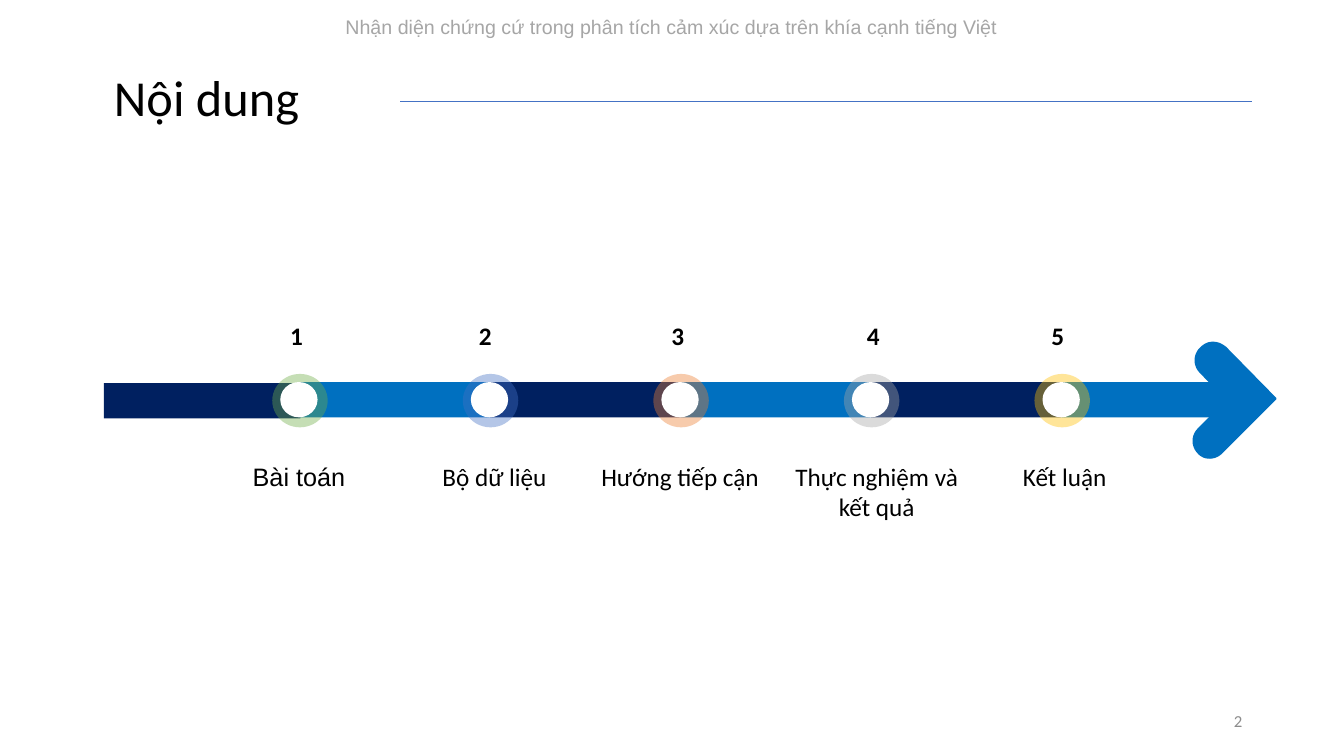
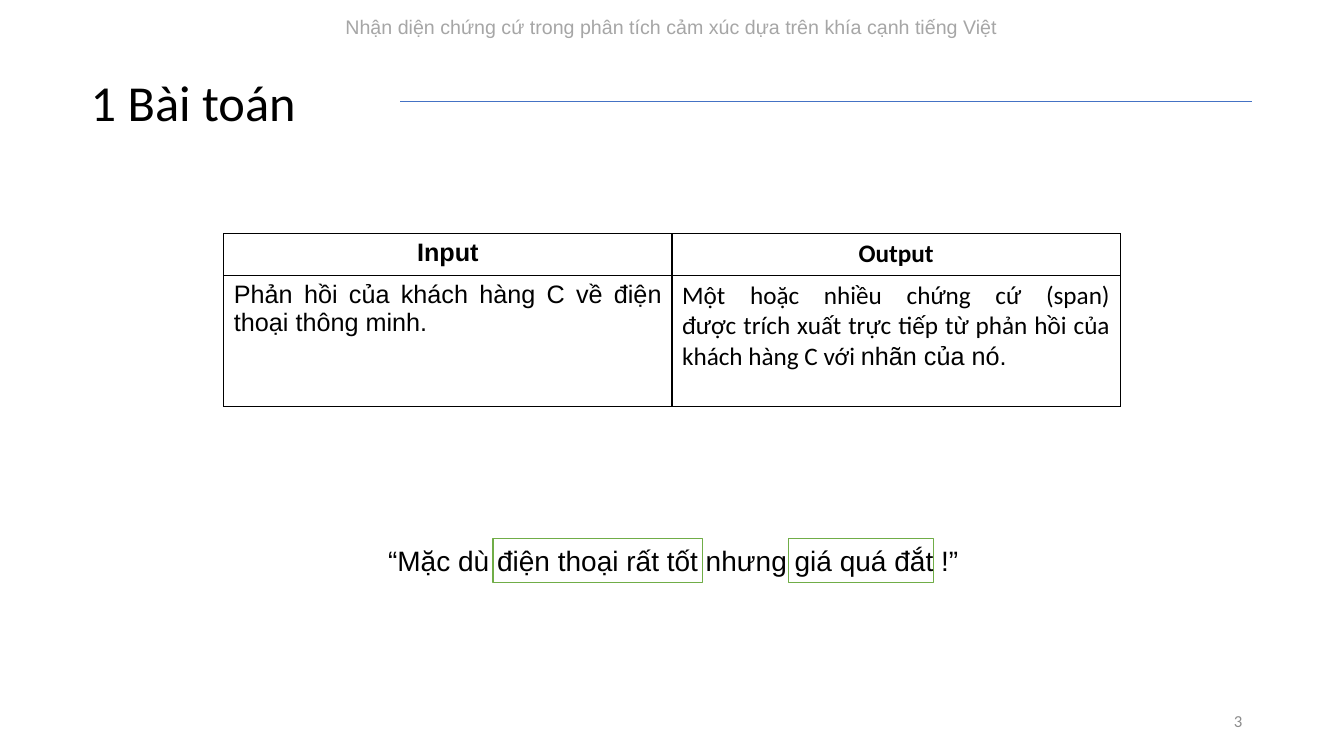
from dataclasses import dataclass

import lxml.etree
import pptx
import pptx.dml.color
import pptx.enum.shapes
import pptx.enum.text
import pptx.oxml
import pptx.oxml.ns
import pptx.util

Inches = pptx.util.Inches
Pt = pptx.util.Pt
RGB = pptx.dml.color.RGBColor.from_string
Align = pptx.enum.text.PP_ALIGN
Anchor = pptx.enum.text.MSO_ANCHOR
Preset = pptx.enum.shapes.MSO_SHAPE
qn = pptx.oxml.ns.qn
Point = tuple[float, float]


# Theme
@dataclass(frozen=True)
class Theme:
    sans: str = "Arial"
    body: str = "Calibri"
    black: str = "000000"
    white: str = "FFFFFF"
    header_grey: str = "A6A6A6"
    number_grey: str = "8C8C8C"
    rule: str = "4472C4"
    navy: str = "002060"
    blue: str = "0070C0"
    green: str = "70AD47"
    title_size: int = 36
    quote_size: int = 20
    text_size: int = 18
    header_size: int = 14
    number_size: int = 12


THEME = Theme()
HEADER = "Nhận diện chứng cứ trong phân tích cảm xúc dựa trên khía cạnh tiếng Việt"
FIRST_NUMBER = 2


@dataclass(frozen=True)
class Box:
    left: float
    top: float
    width: float
    height: float

    def lengths(self) -> list[int]:
        return [Inches(v) for v in (self.left, self.top, self.width, self.height)]


@dataclass(frozen=True)
class TextStyle:
    size: int = THEME.text_size
    font: str = THEME.body
    color: str = THEME.black
    bold: bool = False
    align: Align = Align.LEFT


@dataclass(frozen=True)
class Milestone:
    label: str
    label_left: float
    label_width: float
    number_left: float
    color: str
    font: str = THEME.body


@dataclass(frozen=True)
class TextRun:
    text: str
    font: str
    break_after: bool = False


MILESTONES = [
    Milestone("Bài toán", 2.11, 1.71, 2.78, THEME.green, THEME.sans),
    Milestone("Bộ dữ liệu", 4.05, 1.71, 4.65, "4472C4"),
    Milestone("Hướng tiếp cận", 5.76, 1.97, 6.56, "ED7D31"),
    Milestone("Thực nghiệm và kết quả", 7.75, 1.89, 8.5, "A5A5A5"),
    Milestone("Kết luận", 9.91, 1.3, 10.33, "FFC000"),
]
STEP = 1.89

# Arrowhead outline: two points are a line, four are a Bézier curve
ARROW_SEGMENTS: list[list[Point]] = [
    [(12.03, 3.39), (12.08, 3.39), (12.12, 3.41), (12.16, 3.44)],
    [(12.16, 3.44), (12.66, 3.95)],
    [(12.66, 3.95), (12.66, 3.96)],
    [(12.66, 3.96), (12.13, 4.49)],
    [(12.13, 4.49), (12.06, 4.57), (11.94, 4.57), (11.88, 4.5)],
    [(11.88, 4.5), (11.81, 4.43), (11.81, 4.32), (11.88, 4.25)],
    [(11.88, 4.25), (12.16, 3.97)],
    [(12.16, 3.97), (11.9, 3.7)],
    [(11.9, 3.7), (11.83, 3.63), (11.83, 3.52), (11.9, 3.45)],
    [(11.9, 3.45), (11.94, 3.41), (11.98, 3.39), (12.03, 3.39)],
]

TABLE_ROWS: list[list[list[TextRun]]] = [
    [[TextRun("Input", THEME.sans)], [TextRun("Output", THEME.body)]],
    [
        [TextRun("Phản hồi của khách hàng C về điện thoại thông minh.", THEME.sans)],
        [
            TextRun("Một hoặc nhiều chứng cứ (span)", THEME.body, break_after=True),
            TextRun("được trích xuất trực tiếp từ phản hồi của khách hàng C với ", THEME.body),
            TextRun("nhãn của nó.", THEME.sans),
        ],
    ],
]


# Drawing functions
def style_paragraph(paragraph, style: TextStyle) -> None:
    paragraph.alignment = style.align
    font = paragraph.font
    font.name, font.size, font.bold = style.font, Pt(style.size), style.bold
    font.color.rgb = RGB(style.color)


def add_text(slide, box: Box, text: str, style: TextStyle):
    shape = slide.shapes.add_textbox(*box.lengths())
    shape.text_frame.word_wrap = True
    paragraph = shape.text_frame.paragraphs[0]
    paragraph.text = text
    style_paragraph(paragraph, style)
    return shape


def paint(shape, fill: str, line: str | None = None, alpha: int = 100) -> None:
    shape.shadow.inherit = False
    shape.fill.solid()
    shape.fill.fore_color.rgb = RGB(fill)
    if alpha < 100:
        color = shape.fill._xPr.find(qn("a:solidFill"))[0]
        lxml.etree.SubElement(color, qn("a:alpha"), val=str(alpha * 1000))
    if line:
        shape.line.color.rgb = RGB(line)
        shape.line.width = Pt(1)
    else:
        shape.line.fill.background()


def add_preset(slide, preset: Preset, box: Box, fill: str,
               line: str | None = None, alpha: int = 100) -> None:
    paint(slide.shapes.add_shape(preset, *box.lengths()), fill, line, alpha)


def add_page_number(slide, number: int) -> None:
    style = TextStyle(THEME.number_size, color=THEME.number_grey, align=Align.RIGHT)
    shape = add_text(slide, Box(9.42, 6.95, 3, 0.4), str(number), style)
    shape.text_frame.vertical_anchor = Anchor.MIDDLE
    # Turn the run into a slide number field
    run = shape.text_frame.paragraphs[0].runs[0]._r
    run.tag = qn("a:fld")
    run.set("id", "{B6F15528-21DE-4FAA-801E-634DDDAF4B2B}")
    run.set("type", "slidenum")


def add_content_slide(presentation, title: str, title_box: Box):
    slide = presentation.slides.add_slide(presentation.slide_layouts[5])
    add_text(slide, Box(2.7, 0.1, 7.92, 0.34), HEADER,
             TextStyle(THEME.header_size, THEME.sans, THEME.header_grey, align=Align.CENTER))

    # Title and rule
    shape = slide.shapes.title
    shape.left, shape.top, shape.width, shape.height = title_box.lengths()
    frame = shape.text_frame
    frame.text = title
    frame.word_wrap = True
    frame.auto_size = pptx.enum.text.MSO_AUTO_SIZE.NONE
    frame.vertical_anchor = Anchor.TOP
    style_paragraph(frame.paragraphs[0], TextStyle(THEME.title_size))
    rule = slide.shapes.add_connector(
        pptx.enum.shapes.MSO_CONNECTOR.STRAIGHT,
        Inches(3.97), Inches(1.01), Inches(12.42), Inches(1.01))
    rule.line.color.rgb = RGB(THEME.rule)
    rule.line.width = Pt(0.5)
    lxml.etree.SubElement(rule._element.spPr, qn("a:effectLst"))

    add_page_number(slide, FIRST_NUMBER + len(presentation.slides) - 1)
    return slide


def segment_points(segment: list[Point], steps: int = 12) -> list[Point]:
    if len(segment) == 2:
        return segment[1:]
    points = []
    for index in range(1, steps + 1):
        t = index / steps
        weights = ((1 - t) ** 3, 3 * t * (1 - t) ** 2, 3 * t * t * (1 - t), t ** 3)
        points.append((sum(w * p[0] for w, p in zip(weights, segment)),
                       sum(w * p[1] for w, p in zip(weights, segment))))
    return points


def add_arrowhead(slide) -> None:
    start_x, start_y = ARROW_SEGMENTS[0][0]
    builder = slide.shapes.build_freeform(Inches(start_x), Inches(start_y))
    points = [p for segment in ARROW_SEGMENTS for p in segment_points(segment)]
    builder.add_line_segments([(Inches(x), Inches(y)) for x, y in points], close=True)
    paint(builder.convert_to_shape(), THEME.blue)


def border_cell(cell) -> None:
    properties = cell._tc.get_or_add_tcPr()
    for index, side in enumerate(("lnL", "lnR", "lnT", "lnB")):
        properties.insert(index, pptx.oxml.parse_xml(
            f'<a:{side} xmlns:a="http://schemas.openxmlformats.org/drawingml/2006/main" '
            f'w="{Pt(1)}"><a:solidFill><a:srgbClr val="{THEME.black}"/></a:solidFill></a:{side}>'))


def fill_cell(cell, runs: list[TextRun], style: TextStyle) -> None:
    cell.fill.background()
    border_cell(cell)
    paragraph = cell.text_frame.paragraphs[0]
    style_paragraph(paragraph, style)
    for item in runs:
        run = paragraph.add_run()
        run.text = item.text
        run.font.name = item.font
        run.font.size = Pt(style.size)
        run.font.bold = style.bold
        run.font.color.rgb = RGB(style.color)
        if item.break_after:
            paragraph.add_line_break()


# Slides
def build_agenda(presentation) -> None:
    slide = add_content_slide(presentation, "Nội dung", Box(1.03, 0.61, 4.09, 0.71))

    # Timeline bar
    add_preset(slide, Preset.RECTANGLE, Box(1.03, 3.8, 1.95, 0.35), THEME.navy)
    for index in range(len(MILESTONES)):
        color = THEME.navy if index % 2 else THEME.blue
        add_preset(slide, Preset.RECTANGLE,
                   Box(2.97 + index * STEP, 3.79, STEP, 0.35), color)
    add_arrowhead(slide)

    # Milestones
    for index, milestone in enumerate(MILESTONES):
        left = 2.7 + index * STEP
        add_preset(slide, Preset.OVAL, Box(left, 3.71, 0.55, 0.53), milestone.color, alpha=40)
        add_preset(slide, Preset.OVAL, Box(left + 0.08, 3.79, 0.37, 0.35), THEME.white)
        add_text(slide, Box(milestone.number_left, 3.13, 0.45, 0.4),
                 str(index + 1), TextStyle(bold=True))
        add_text(slide, Box(milestone.label_left, 4.53, milestone.label_width, 0.4),
                 milestone.label, TextStyle(font=milestone.font, align=Align.CENTER))


def build_problem(presentation) -> None:
    slide = add_content_slide(presentation, "1 Bài toán", Box(0.8, 0.66, 3.17, 0.71))

    # Input and output table
    frame = slide.shapes.add_table(2, 2, *Box(2.22, 2.32, 8.89, 1.71).lengths())
    table = frame.table
    table.first_row = table.horz_banding = False
    for row, height in zip(table.rows, (0.41, 1.3)):
        row.height = Inches(height)
    styles = (TextStyle(bold=True, align=Align.CENTER), TextStyle(align=Align.JUSTIFY))
    for row_index, (cells, style) in enumerate(zip(TABLE_ROWS, styles)):
        for column_index, runs in enumerate(cells):
            fill_cell(table.cell(row_index, column_index), runs, style)

    # Example sentence with marked spans
    for left, width in ((4.89, 2.08), (7.82, 1.44)):
        add_preset(slide, Preset.RECTANGLE, Box(left, 5.34, width, 0.44),
                   THEME.white, THEME.green)
    add_text(slide, Box(3.59, 5.34, 6.18, 0.44),
             "“Mặc dù điện thoại rất tốt nhưng giá quá đắt !”",
             TextStyle(THEME.quote_size, THEME.sans, align=Align.CENTER))


def main() -> None:
    presentation = pptx.Presentation()
    presentation.slide_width = Inches(13.33)
    presentation.slide_height = Inches(7.5)
    presentation.element.set("firstSlideNum", str(FIRST_NUMBER))
    build_agenda(presentation)
    build_problem(presentation)
    presentation.save("out.pptx")


if __name__ == "__main__":
    main()
